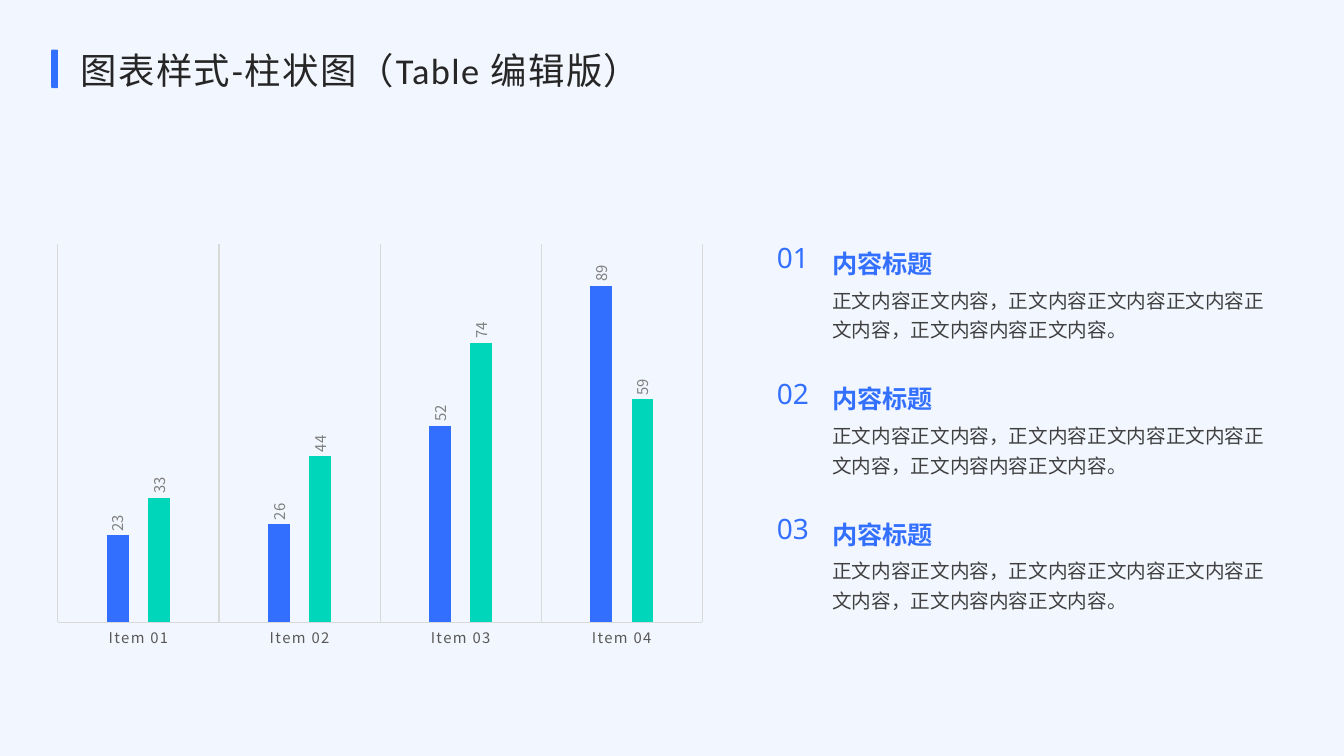
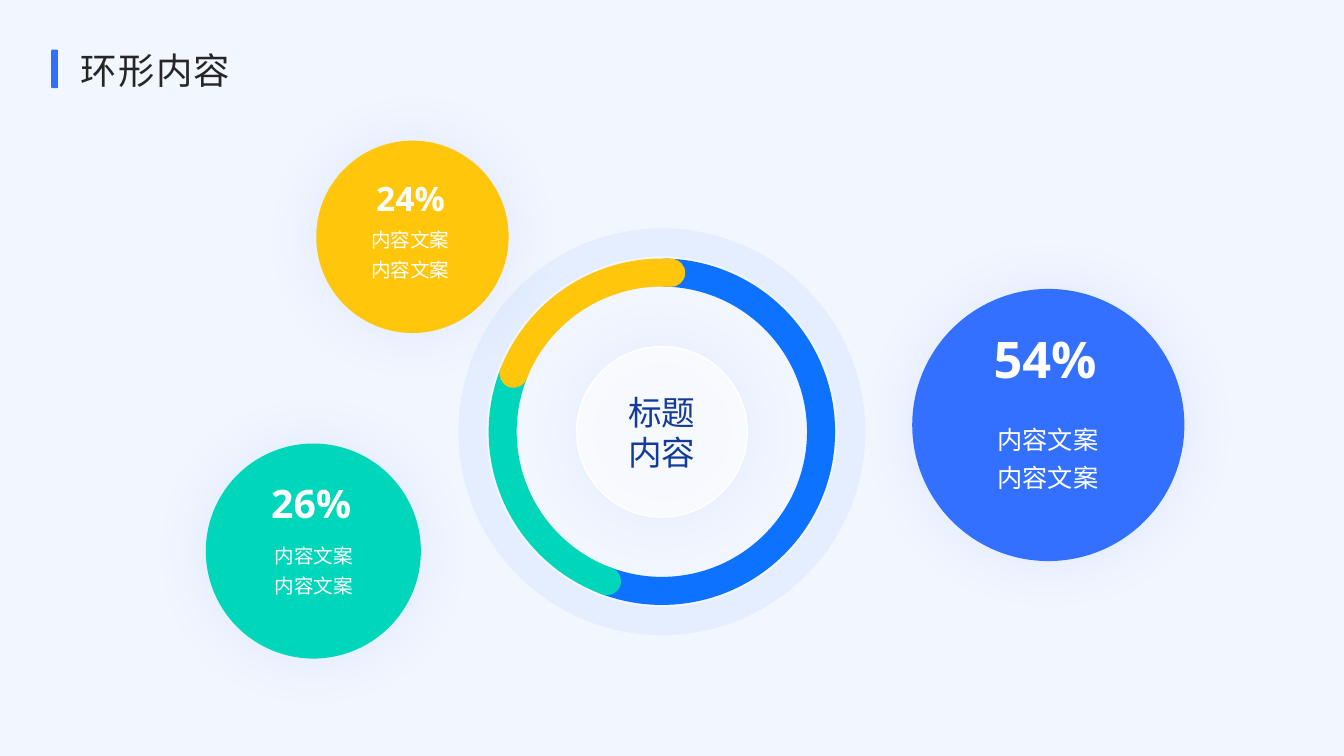
from lxml import etree
from pptx import Presentation
from pptx.chart.data import CategoryChartData
from pptx.dml.color import RGBColor
from pptx.enum.chart import XL_CHART_TYPE, XL_LABEL_POSITION, XL_TICK_MARK
from pptx.enum.shapes import MSO_SHAPE
from pptx.enum.text import MSO_ANCHOR, MSO_AUTO_SIZE, PP_ALIGN
from pptx.oxml import parse_xml
from pptx.oxml.ns import nsdecls, qn
from pptx.util import Inches, Pt

OVAL, ARC, BAR = MSO_SHAPE.OVAL, MSO_SHAPE.ARC, MSO_SHAPE.ROUNDED_RECTANGLE
LEFT, CENTER = PP_ALIGN.LEFT, PP_ALIGN.CENTER
TOP, MIDDLE = MSO_ANCHOR.TOP, MSO_ANCHOR.MIDDLE
GROW, FIXED = MSO_AUTO_SIZE.SHAPE_TO_FIT_TEXT, MSO_AUTO_SIZE.NONE
COLUMNS = XL_CHART_TYPE.COLUMN_CLUSTERED
OUTSIDE_END = XL_LABEL_POSITION.OUTSIDE_END
NO_TICK = XL_TICK_MARK.NONE

COLORS = {name: RGBColor.from_string(value) for name, value in {
    "background": "F2F6FE", "accent": "336FFF", "blue": "3370FF",
    "ring": "0D72FF", "teal": "00D6B9", "yellow": "FFC60C",
    "navy": "133C9A", "title": "262626", "body": "404040",
    "axis": "595959", "label": "808080", "grid": "D9D9D9",
    "white": "FFFFFF"}.items()}
LATIN, NUMERIC, CHINESE = "Calibri", "Noto Sans", "Noto Sans CJK SC"

presentation = Presentation()
presentation.slide_width, presentation.slide_height = Inches(13.333), Inches(7.5)
CELL = presentation.slide_height / 90  # the slide is 160 columns by 90 rows


def place(shapes, kind, box, fill=None, line=None, line_width=1, alpha=None,
          glow=False):
    """Add a preset shape, or a text box if kind is None; box is in grid cells."""
    lengths = [round(cells * CELL) for cells in box]
    if kind is None:
        return shapes.add_textbox(*lengths)
    shape = shapes.add_shape(kind, *lengths)
    shape.shadow.inherit = False
    for part, color in ((shape.fill, fill), (shape.line.fill, line)):
        if color:
            part.solid()
            part.fore_color.rgb = COLORS[color]
        else:
            part.background()
    if line:
        shape.line.width = Pt(line_width)
    properties = shape._element.spPr
    if alpha:
        color_element = next(properties.iter(qn("a:srgbClr")))
        etree.SubElement(color_element, qn("a:alpha"), val=str(alpha * 1000))
    if glow:
        properties.find(qn("a:effectLst")).append(parse_xml(
            f'<a:outerShdw {nsdecls("a")} blurRad="{Pt(40)}" dist="0" dir="0" '
            f'algn="ctr" rotWithShape="0"><a:srgbClr val="{COLORS["accent"]}">'
            '<a:alpha val="10000"/></a:srgbClr></a:outerShdw>'))
    return shape


def write(shape, text, size, color, font=LATIN, bold=False, align=LEFT,
          anchor=TOP, spacing=None, tracking=None, wrap=True, fit=GROW):
    frame = shape.text_frame
    frame.word_wrap, frame.auto_size, frame.vertical_anchor = wrap, fit, anchor
    frame.text = text
    for paragraph in frame.paragraphs:
        paragraph.alignment, paragraph.line_spacing = align, spacing
        run = paragraph.runs[0]
        run.font.size, run.font.bold, run.font.name = Pt(size), bold, font
        run.font.color.rgb = COLORS[color]
        properties = run._r.get_or_add_rPr()
        etree.SubElement(properties, qn("a:ea"), typeface=CHINESE)
        if tracking:
            properties.set("spc", str(tracking))


# Shared background, accent bar and title
background = presentation.slide_master.background.fill
background.solid()
background.fore_color.rgb = COLORS["background"]
slides = []
for title in ("图表样式-柱状图（Table 编辑版）", "环形内容"):
    slide = presentation.slides.add_slide(presentation.slide_layouts[6])
    place(slide.shapes, BAR, (6.1, 5.9, 0.8, 4.6), fill="accent")
    write(place(slide.shapes, None, (8.4, 5.6, 96.4, 6.1)), title, 26, "title",
          anchor=MIDDLE, spacing=0.9, tracking=100, fit=FIXED)
    slides.append(slide)
chart_slide, ring_slide = slides

# Column chart
chart_data = CategoryChartData()
chart_data.categories = [f"Item {number:02}" for number in range(1, 5)]
chart_data.add_series("Series 1", (23, 26, 52, 89))
chart_data.add_series("Series 2", (33, 44, 74, 59))
chart_box = [round(cells * CELL) for cells in (5.3, 28.1, 79.9, 50)]
chart = chart_slide.shapes.add_chart(COLUMNS, *chart_box, chart_data).chart
chart.has_legend = chart.has_title = False
chart.font.size, chart.font.name = Pt(10), CHINESE

category_axis, value_axis = chart.category_axis, chart.value_axis
category_axis.major_tick_mark = category_axis.minor_tick_mark = NO_TICK
category_axis.has_major_gridlines = True
for line in (category_axis.format.line, category_axis.major_gridlines.format.line):
    line.color.rgb, line.width = COLORS["grid"], Pt(0.75)
axis_font = category_axis.tick_labels.font
axis_font.size, axis_font.name = Pt(10.6), CHINESE
axis_font.color.rgb = COLORS["axis"]
next(category_axis._element.iter(qn("a:defRPr"))).set("spc", "100")
value_axis.minimum_scale, value_axis.maximum_scale = 0, 100
value_axis.major_unit = 25
value_axis.has_major_gridlines = value_axis.visible = False

plot = chart.plots[0]
plot.gap_width, plot.overlap, plot.vary_by_categories = 444, -90, False
for series, color in zip(plot.series, ("accent", "teal")):
    series.format.fill.solid()
    series.format.fill.fore_color.rgb = COLORS[color]
    labels = series.data_labels
    labels.show_value, labels.position = True, OUTSIDE_END
    labels.font.size, labels.font.name = Pt(10.6), CHINESE
    labels.font.color.rgb = COLORS["label"]
    label_body = next(labels._element.iter(qn("a:bodyPr")))
    label_body.set("rot", "-5400000")
    label_body.set("vert", "horz")

plot_area = chart._chartSpace.chart.plotArea
for old_layout in plot_area.findall(qn("c:layout")):
    plot_area.remove(old_layout)
plot_area.insert(0, parse_xml(
    f'<c:layout {nsdecls("c")}><c:manualLayout><c:layoutTarget val="inner"/>'
    '<c:xMode val="edge"/><c:yMode val="edge"/><c:x val="0.02"/>'
    '<c:y val="0.02"/><c:w val="0.96"/><c:h val="0.9"/>'
    '</c:manualLayout></c:layout>'))

# Numbered notes beside the chart
NOTE = "正文内容正文内容，正文内容正文内容正文内容正文内容，正文内容内容正文内容。"
for index in range(3):
    top = 28.1 + 16.1 * index
    for box, text, style in (
            ((89.5, top, 9.8, 5.3), f"{index + 1:02}",
             dict(size=20, color="blue", font=NUMERIC, align=CENTER)),
            ((97.9, top, 37.6, 5.4), "内容标题",
             dict(size=18, color="blue", bold=True, spacing=1.25)),
            ((97.9, top + 5, 54, 7.9), NOTE,
             dict(size=14, color="body", spacing=1.25))):
        write(place(chart_slide.shapes, None, box), text, **style)

# Bubbles: colour, centre, diameter, percentage and caption with their boxes
BUBBLES = (
    ("blue", 124.8, 50.6, 32.4, "54%", 36, (117.1, 38.5, 15.4, 8.5),
     18, (115.4, 49, 18.7, 10)),
    ("teal", 37.3, 65.6, 25.6, "26%", 28, (31.1, 56.5, 12.5, 6.8),
     14, (28, 63.5, 18.7, 7.9)),
    ("yellow", 49.1, 28.2, 22.9, "24%", 24, (43.6, 20.6, 11, 6),
     14, (39.5, 25.9, 18.7, 7.9)),
)
for (color, center_x, center_y, diameter, percentage, percentage_size,
     percentage_box, caption_size, caption_box) in BUBBLES:
    bubble_box = (center_x - diameter / 2, center_y - diameter / 2,
                  diameter, diameter)
    place(ring_slide.shapes, OVAL, bubble_box, fill=color, glow=True)
    write(place(ring_slide.shapes, None, percentage_box), percentage,
          percentage_size, "white", font=NUMERIC, bold=True, wrap=False)
    write(place(ring_slide.shapes, None, caption_box), "内容文案\n内容文案",
          caption_size, "white", align=CENTER, spacing=1.25)

# Ring: concentric circles, with arcs given by start and end angle
hub_box, ring_box, halo_box = [
    (78.8 - diameter / 2, 51.4 - diameter / 2, diameter, diameter)
    for diameter in (20.3, 37.9, 45.1)]
ring = ring_slide.shapes.add_group_shape().shapes
place(ring, OVAL, ring_box, line="ring", line_width=20, alpha=5)
for color, start, end in (("ring", 271.33, 111.36), ("teal", 110.14, 201.36),
                          ("yellow", 201.35, 273.38)):
    arc = place(ring, ARC, ring_box, line=color, line_width=20)
    for index, angle in enumerate((start, end)):
        # Arc angles are stored in 60000ths of a degree, adjustments in 100000ths
        arc.adjustments[index] = (angle % 360) * 0.6
    arc._element.spPr.find(qn("a:ln")).set("cap", "rnd")
hub = place(ring, OVAL, hub_box, fill="white", line="white", alpha=70, glow=True)
write(hub, "标题\n内容", 24, "navy", align=CENTER, anchor=MIDDLE, fit=FIXED)
place(ring_slide.shapes, OVAL, halo_box, line="ring", line_width=20, alpha=5)

presentation.save("out.pptx")
